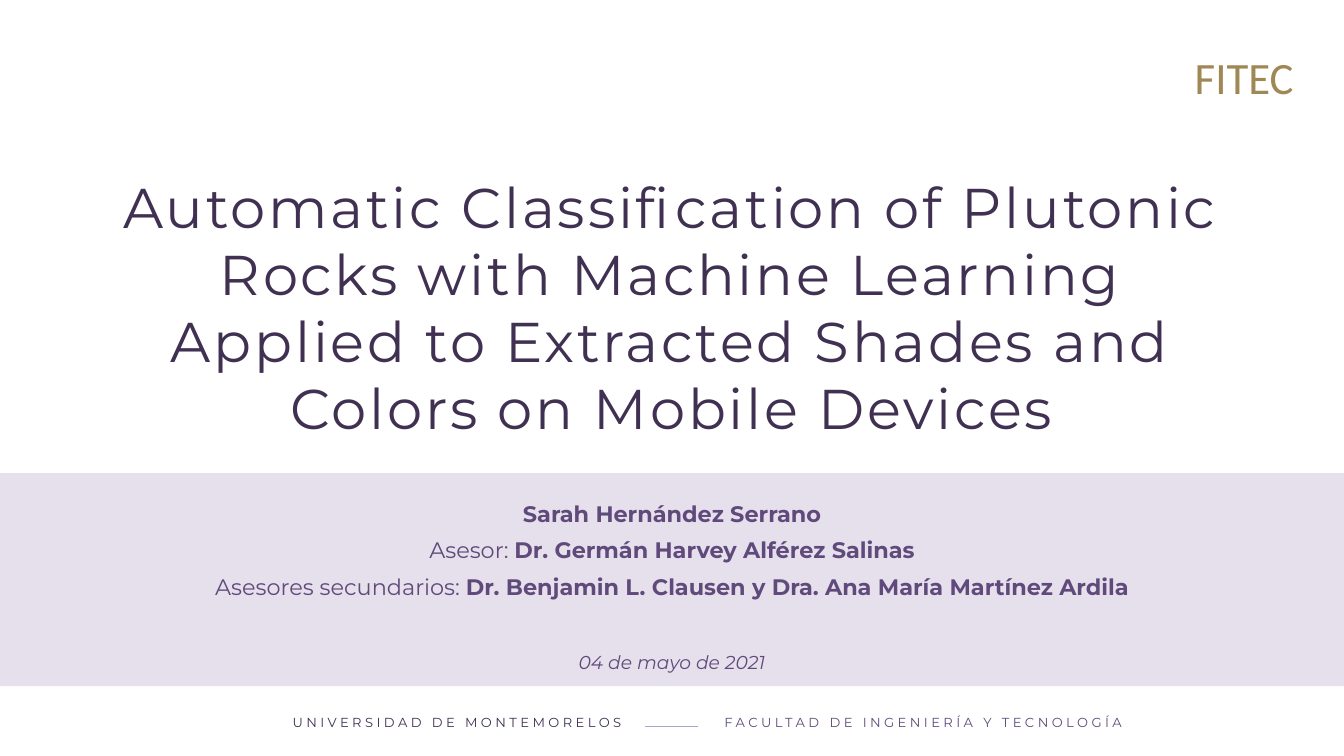
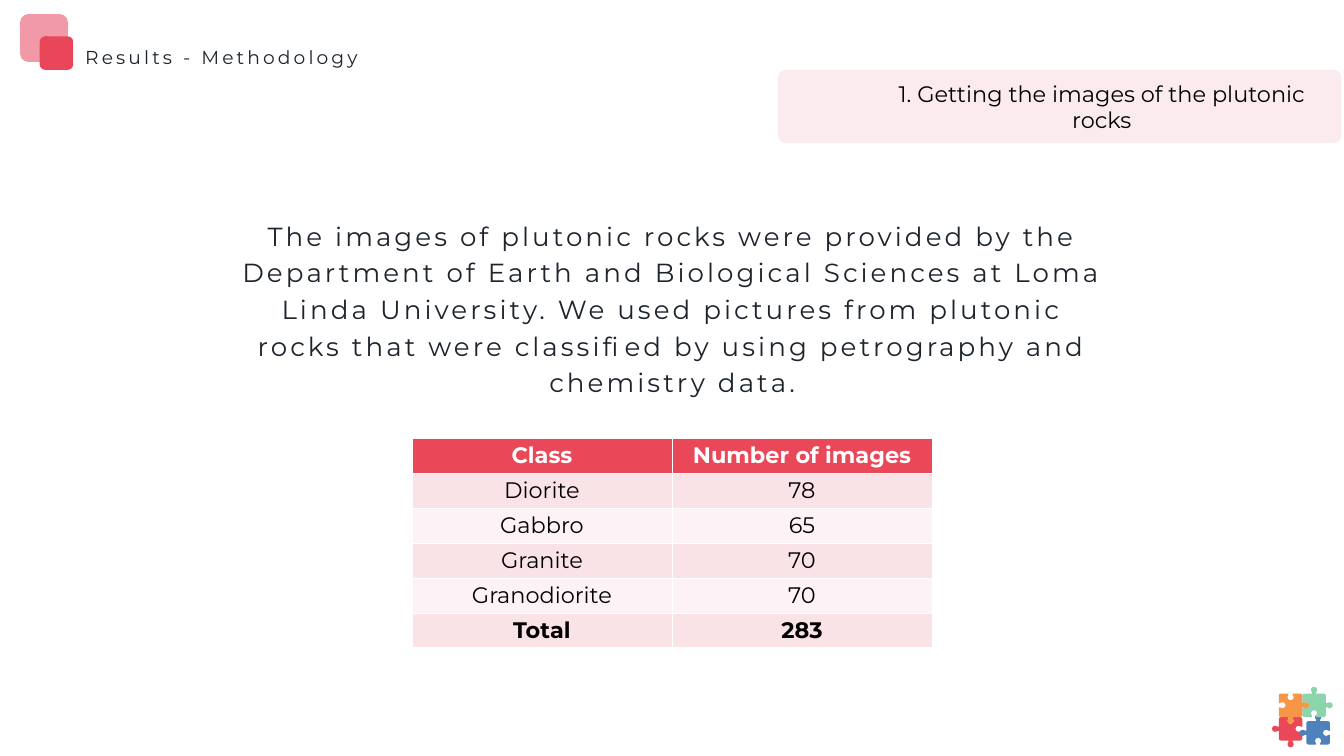
from math import cos, radians, sin

from lxml.etree import SubElement
from pptx import Presentation
from pptx.dml.color import RGBColor
from pptx.enum.shapes import MSO_CONNECTOR, MSO_SHAPE
from pptx.enum.text import MSO_ANCHOR, MSO_AUTO_SIZE, PP_ALIGN
from pptx.oxml.ns import qn
from pptx.util import Emu, Pt

PX = 9144
FONT = "Montserrat"
WHITE, BLACK = "FFFFFF", "000000"
INK, DEEP, PURPLE, LAVENDER, RULE = "1D242C", "403152", "604A7B", "E6E0EC", "B3A2C7"
GOLD, RED, PINK = "A08855", "EA4759", "F199A7"
BANDS = ("FAE3E7", "FDF2F5")
LINE, TRACKING = 39.2, 3.33
PIECE, CORNER = 35, 3


def px(*values):
    return [Emu(round(v * PX)) for v in values]


def rgb(color):
    return RGBColor.from_string(color)


def paint(sp, color, alpha=None):
    sp.shadow.inherit = False
    sp.fill.solid()
    sp.fill.fore_color.rgb = rgb(color)
    sp.line.fill.background()
    if alpha:
        clr = sp.fill._xPr.find(".//" + qn("a:srgbClr"))
        SubElement(clr, qn("a:alpha")).set("val", str(alpha * 1000))


def add_block(s, box, color, kind=MSO_SHAPE.RECTANGLE, alpha=None):
    sp = s.shapes.add_shape(kind, *px(*box))
    paint(sp, color, alpha)
    return sp


def style(p, size, color, align=PP_ALIGN.CENTER, bold=None, italic=None,
          font=FONT, spacing=0, line=None):
    p.alignment = align
    if line:
        p.line_spacing = Pt(line)
    f = p.font
    f.name, f.size, f.bold, f.italic = font, Pt(size), bold, italic
    f.color.rgb = rgb(color)
    if spacing:
        p._p.pPr.find(qn("a:defRPr")).set("spc", str(round(spacing * 100)))


def add_frame(s, box, inset=0, anchor=MSO_ANCHOR.TOP, grow=True):
    tf = s.shapes.add_textbox(*px(*box)).text_frame
    tf.word_wrap = True
    tf.auto_size = MSO_AUTO_SIZE.SHAPE_TO_FIT_TEXT if grow else MSO_AUTO_SIZE.NONE
    tf.vertical_anchor = anchor
    tf.margin_left = tf.margin_right = tf.margin_top = tf.margin_bottom = px(inset)[0]
    return tf


def add_text(s, box, text, size, color, inset=0, anchor=MSO_ANCHOR.TOP, grow=True, **look):
    p = add_frame(s, box, inset, anchor, grow).paragraphs[0]
    p.text = text
    style(p, size, color, **look)


def add_authors(s, box):
    credits = [
        ("", "Sarah Hernández Serrano"),
        ("Asesor: ", "Dr. Germán Harvey Alférez Salinas"),
        ("Asesores secundarios: ",
         "Dr. Benjamin L. Clausen y Dra. Ana María Martínez Ardila"),
    ]
    tf = add_frame(s, box)
    for i, (role, name) in enumerate(credits):
        p = tf.paragraphs[0] if i == 0 else tf.add_paragraph()
        style(p, 24, PURPLE, line=LINE)
        if role:
            p.add_run().text = role
        r = p.add_run()
        r.text = name
        r.font.bold = True
    p = tf.add_paragraph()
    p.text = "04 de mayo de 2021"
    p.space_before = Pt(LINE)
    style(p, 20, PURPLE, italic=True, line=LINE)


def add_faculty_tag(s, box, text):
    tf = add_block(s, box, WHITE).text_frame
    tf.vertical_anchor = MSO_ANCHOR.MIDDLE
    p = tf.paragraphs[0]
    p.text = text
    style(p, 48, GOLD, align=PP_ALIGN.RIGHT, font="Calibri")


def add_rule(s, x1, x2, y, color):
    ln = s.shapes.add_connector(MSO_CONNECTOR.STRAIGHT, *px(x1, y, x2, y))
    ln.line.color.rgb = rgb(color)
    ln.line.width = Pt(0.5)
    SubElement(ln._element.spPr, qn("a:effectLst"))


def piece_side(knob):
    mid = PIECE / 2
    arc = [(mid + 4.5 * cos(radians(a)), knob * (5.5 + 4.5 * sin(radians(a))))
           for a in range(225, -46, -15)]
    end = PIECE - CORNER
    return [(CORNER, 0), (mid - 3, 0), *arc, (mid + 3, 0), (end, 0),
            (PIECE - 0.9, -0.9)]


def add_piece(s, x, y, color, knobs):
    points = []
    for turn, knob in enumerate(knobs):
        for along, out in piece_side(knob):
            dx, dy = along - PIECE / 2, -PIECE / 2 - out
            for _ in range(turn):
                dx, dy = -dy, dx
            points.append(px(x + PIECE / 2 + dx, y + PIECE / 2 + dy))
    fb = s.shapes.build_freeform(*points[0])
    fb.add_line_segments(points[1:], close=True)
    paint(fb.convert_to_shape(), color)


def add_puzzle(s, x, y):
    far = PIECE + 6
    add_piece(s, x, y + PIECE, RED, (-1, -1, 1, 1))
    add_piece(s, x + far, y + far, "4F81BD", (1, -1, -1, 1))
    add_piece(s, x + PIECE, y, "8BD4AC", (1, 1, -1, -1))
    add_piece(s, x, y, "F79646", (-1, 1, 1, -1))


def add_data_table(s, box, row_height, rows):
    tbl = s.shapes.add_table(len(rows), len(rows[0]), *px(*box)).table
    last = len(rows) - 1
    for i, row in enumerate(rows):
        height = row_height if i < last else box[3] - last * row_height
        tbl.rows[i].height = px(height)[0]
        for j, value in enumerate(row):
            cell = tbl.cell(i, j)
            cell.fill.solid()
            cell.fill.fore_color.rgb = rgb(BANDS[(i - 1) % 2] if i else RED)
            p = cell.text_frame.paragraphs[0]
            p.text = value
            style(p, 24, BLACK if i else WHITE, bold=i in (0, last))


def add_section_title(s, text):
    add_block(s, (30, 21, 71, 71), PINK, MSO_SHAPE.ROUNDED_RECTANGLE)
    add_block(s, (59, 54, 50, 50), "E94759", MSO_SHAPE.ROUNDED_RECTANGLE)
    add_text(s, (117, 45, 616, 59), text, 20, INK, inset=10, anchor=MSO_ANCHOR.MIDDLE,
             align=PP_ALIGN.LEFT, spacing=TRACKING, line=LINE)


def add_step(s, text):
    sp = add_block(s, (1158, 104, 838, 109), PINK, MSO_SHAPE.ROUNDED_RECTANGLE, alpha=19)
    sp.adjustments[0] = 0.1
    add_text(s, (1284, 104, 711, 109), text, 24, BLACK, inset=12,
             anchor=MSO_ANCHOR.MIDDLE, grow=False)


def add_footer(s):
    add_rule(s, 960, 1039, 1080, RULE)
    look = dict(spacing=3.67, line=11.4)
    add_text(s, (322, 1071, 603, 16), "UNIVERSIDAD DE MONTEMORELOS", 14, DEEP,
             align=PP_ALIGN.RIGHT, **look)
    add_text(s, (1078, 1071, 631, 31), "FACULTAD DE INGENIERÍA Y TECNOLOGÍA", 14, PURPLE,
             align=PP_ALIGN.LEFT, **look)


def build_cover(s):
    add_block(s, (0, 704, 2000, 317), LAVENDER)
    add_text(s, (167, 256, 1665, 404),
             "Automatic Classification of Plutonic Rocks with Machine Learning "
             "Applied to Extracted Shades and Colors on Mobile Devices",
             60, DEEP, spacing=3)
    add_authors(s, (257, 729, 1486, 265))
    add_faculty_tag(s, (1708, 72, 227, 85), "FITEC")
    add_footer(s)


def build_results(s):
    add_text(s, (342, 316, 1317, 280),
             "The images of plutonic rocks were provided by the Department of Earth and "
             "Biological Sciences at Loma Linda University. We used pictures from plutonic "
             "rocks that were classified by using petrography and chemistry data.",
             28, INK, inset=10, anchor=MSO_ANCHOR.MIDDLE, spacing=TRACKING, line=LINE)
    add_section_title(s, "Results - Methodology")
    add_puzzle(s, 1903, 1032)
    add_data_table(s, (613, 653, 774, 309), 52, [
        ("Class", "Number of images"),
        ("Diorite", "78"),
        ("Gabbro", "65"),
        ("Granite", "70"),
        ("Granodiorite", "70"),
        ("Total", "283"),
    ])
    add_step(s, "1. Getting the images of the plutonic rocks")


def main():
    prs = Presentation()
    prs.slide_width, prs.slide_height = px(2000, 1125)
    for build in (build_cover, build_results):
        build(prs.slides.add_slide(prs.slide_layouts[6]))
    prs.save("out.pptx")


if __name__ == "__main__":
    main()
